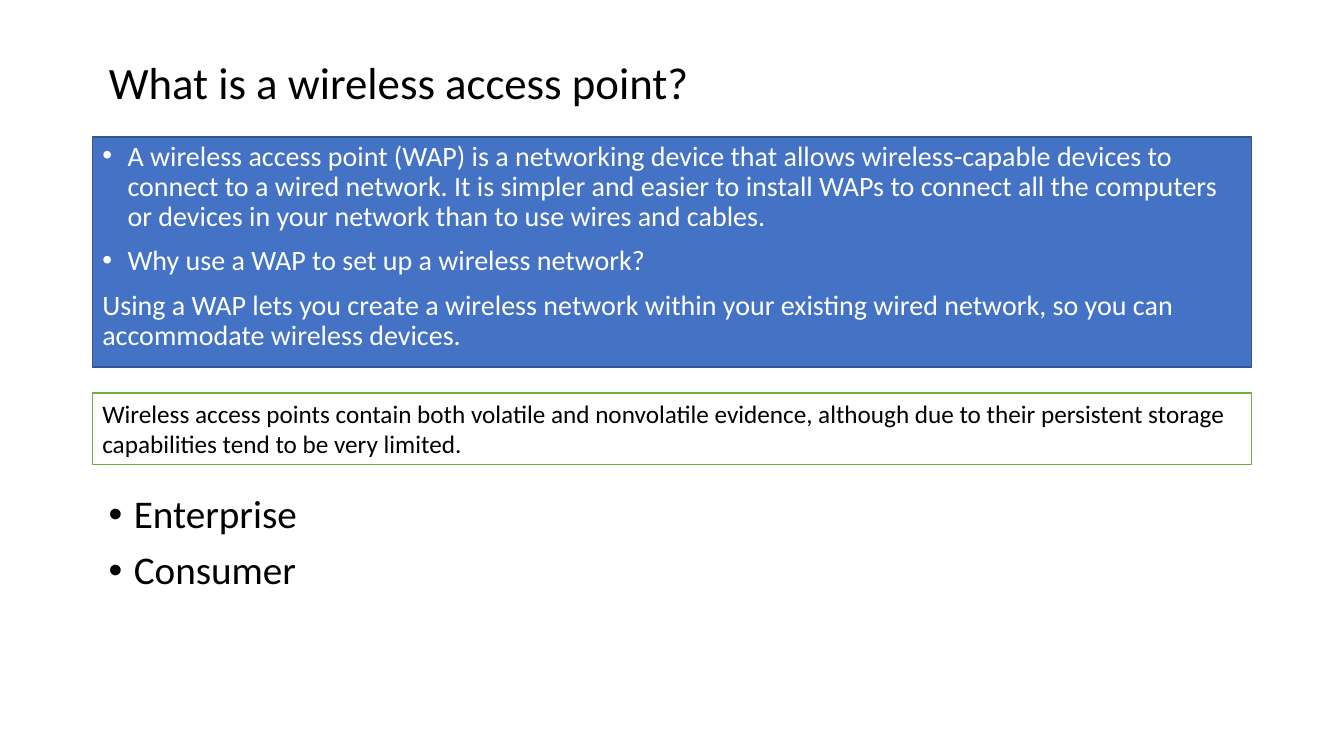
from dataclasses import dataclass

from lxml import etree
from pptx import Presentation, util as u
from pptx.dml.color import RGBColor
from pptx.enum import shapes, text
from pptx.oxml.ns import qn


@dataclass(frozen=True)
class Theme:
    font: str = "Calibri"
    ink: str = "000000"
    paper: str = "FFFFFF"
    blue: str = "4472C4"
    navy: str = "325491"
    green: str = "70AD47"
    head: int = 32
    list: int = 28
    body: int = 20
    note: int = 18


def write(frame, lines, font, size, color, bullets=0, space=0, lead=None,
          anchor=text.MSO_ANCHOR.TOP):
    """Fill a frame; the first `bullets` lines get a bullet."""
    frame.word_wrap = True
    frame.auto_size = text.MSO_AUTO_SIZE.NONE
    frame.vertical_anchor = anchor
    for i, line in enumerate(lines):
        para = frame.paragraphs[0] if i == 0 else frame.add_paragraph()
        para.alignment = text.PP_ALIGN.LEFT
        para.space_before = u.Pt(space)
        para.line_spacing = lead
        run = para.add_run()
        run.text = line
        run.font.name = font
        run.font.size = u.Pt(size)
        run.font.color.rgb = RGBColor.from_string(color)
        if i < bullets:
            props = para._p.get_or_add_pPr()
            props.set("marL", str(u.Inches(0.25)))
            props.set("indent", str(-u.Inches(0.25)))
            etree.SubElement(props, qn("a:buFont"), typeface="Arial")
            etree.SubElement(props, qn("a:buChar"), char="•")


class Deck:
    COLS, ROWS = 160, 90  # twelve grid cells to the inch

    def __init__(self, theme):
        self.theme = theme
        self.prs = Presentation()
        self.prs.slide_width = u.Inches(13.333)
        self.prs.slide_height = u.Inches(7.5)
        self.slide = self.prs.slides.add_slide(self.prs.slide_layouts[5])

    def area(self, col, row, wide, high):
        dx = self.prs.slide_width / self.COLS
        dy = self.prs.slide_height / self.ROWS
        return [round(n) for n in (col * dx, row * dy, wide * dx, high * dy)]

    def text(self, frame, lines, **style):
        write(frame, lines, self.theme.font, **style)

    def title(self, line, area, **style):
        head = self.slide.shapes.title
        head.left, head.top, head.width, head.height = self.area(*area)
        self.text(head.text_frame, [line], anchor=text.MSO_ANCHOR.MIDDLE, **style)

    def panel(self, lines, area, fill, edge, **style):
        box = self.slide.shapes.add_shape(
            shapes.MSO_SHAPE.RECTANGLE, *self.area(*area))
        box.shadow.inherit = False
        box.fill.solid()
        box.fill.fore_color.rgb = RGBColor.from_string(fill)
        box.line.color.rgb = RGBColor.from_string(edge)
        box.line.width = u.Pt(1)
        self.text(box.text_frame, lines, **style)

    def label(self, lines, area, **style):
        box = self.slide.shapes.add_textbox(*self.area(*area))
        self.text(box.text_frame, lines, **style)


def main():
    look = Theme()
    deck = Deck(look)
    left, wide = 11, 138
    inset = 11.75
    flow = dict(space=10, lead=0.9)

    # Title
    deck.title("What is a wireless access point?", (inset, 4.9, 73.4, 10.4),
               size=look.head, color=look.ink, lead=0.9)

    # Definition and purpose
    deck.panel([
        "A wireless access point (WAP) is a networking device that allows "
        "wireless-capable devices to connect to a wired network. It is simpler "
        "and easier to install WAPs to connect all the computers or devices in "
        "your network than to use wires and cables.",
        "Why use a WAP to set up a wireless network?",
        "Using a WAP lets you create a wireless network within your existing "
        "wired network, so you can accommodate wireless devices.",
    ], (left, 16.3, wide, 27.4), look.blue, look.navy,
        size=look.body, color=look.paper, bullets=2, **flow)

    # Evidence note
    deck.panel([
        "Wireless access points contain both volatile and nonvolatile evidence, "
        "although due to their persistent storage capabilities tend to be very "
        "limited.",
    ], (left, 46.8, wide, 8.5), look.paper, look.green,
        size=look.note, color=look.ink)

    # Kinds of access point
    deck.label(["Enterprise", "Consumer"], (inset, 58.3, 33.8, 17.4),
               size=look.list, color=look.ink, bullets=2, **flow)

    deck.prs.save("out.pptx")


if __name__ == "__main__":
    main()
